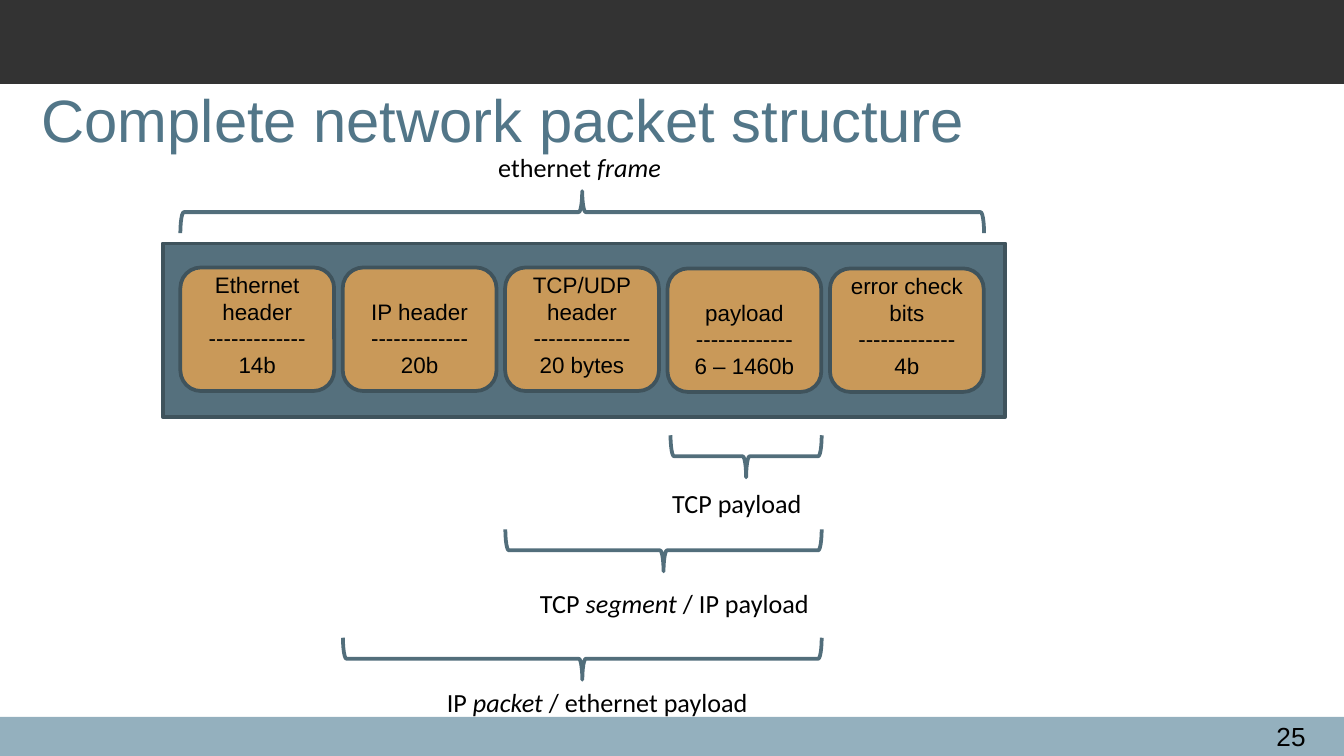
import pptx
import pptx.dml.color
import pptx.enum.shapes
import pptx.enum.text
import pptx.util

Pt = pptx.util.Pt
RGBColor = pptx.dml.color.RGBColor
MSO_SHAPE = pptx.enum.shapes.MSO_SHAPE
PP_ALIGN = pptx.enum.text.PP_ALIGN
MSO_ANCHOR = pptx.enum.text.MSO_ANCHOR

CHARCOAL = RGBColor(0x33, 0x33, 0x33)
PALE_BLUE = RGBColor(0x94, 0xB0, 0xBE)
TITLE_BLUE = RGBColor(0x52, 0x76, 0x88)
FRAME_BLUE = RGBColor(0x55, 0x70, 0x7D)
OUTLINE = RGBColor(0x3F, 0x53, 0x5C)
BRACE_BLUE = RGBColor(0x52, 0x6E, 0x7B)
TAN = RGBColor(0xC9, 0x99, 0x59)
BLACK = RGBColor(0, 0, 0)

presentation = pptx.Presentation()
presentation.slide_width = Pt(720)
presentation.slide_height = Pt(405)
slide = presentation.slides.add_slide(presentation.slide_layouts[5])


def add_block(kind, left, top, width, height, fill=None, line=None):
    shape = slide.shapes.add_shape(kind, Pt(left), Pt(top), Pt(width), Pt(height))
    shape.shadow.inherit = False
    if fill is None:
        shape.fill.background()
    else:
        shape.fill.solid()
        shape.fill.fore_color.rgb = fill
    if line is None:
        shape.line.fill.background()
    else:
        shape.line.color.rgb = line
        shape.line.width = Pt(2)
    return shape


def add_run(paragraph, text, size, font="Arial", color=BLACK, italic=False):
    run = paragraph.add_run()
    run.text = text
    run.font.name = font
    run.font.size = Pt(size)
    run.font.color.rgb = color
    run.font.italic = italic


# Top and bottom bars
add_block(MSO_SHAPE.RECTANGLE, 0, 0, 720, 45, CHARCOAL)
add_block(MSO_SHAPE.RECTANGLE, 0, 384, 720, 21, PALE_BLUE)

# Title
title = slide.shapes.title
title.left, title.top, title.width, title.height = Pt(15), Pt(45.3), Pt(690), Pt(36)
title.text_frame.auto_size = pptx.enum.text.MSO_AUTO_SIZE.NONE
title.text_frame.vertical_anchor = MSO_ANCHOR.MIDDLE
title_paragraph = title.text_frame.paragraphs[0]
title_paragraph.alignment = PP_ALIGN.LEFT
add_run(title_paragraph, "Complete network packet structure", 32, color=TITLE_BLUE)

# Slide number
number_box = slide.shapes.add_textbox(Pt(641.5), Pt(382.5), Pt(65), Pt(11.5))
number_box.text_frame.word_wrap = True
number_paragraph = number_box.text_frame.paragraphs[0]
number_paragraph.alignment = PP_ALIGN.RIGHT
add_run(number_paragraph, "25", 14)

# Ethernet frame with its five fields
add_block(MSO_SHAPE.RECTANGLE, 87.2, 130.4, 451.4, 93, FRAME_BLUE, OUTLINE)
DIVIDER = "-------------"
fields = [
    (143.3, ["Ethernet header", DIVIDER, "14b"]),
    (143.3, ["IP header", DIVIDER, "20b"]),
    (143.3, ["TCP/UDP", "header", DIVIDER, "20 bytes"]),
    (143.8, ["payload", DIVIDER, "6 – 1460b"]),
    (143.8, ["error check bits", DIVIDER, "4b"]),
]
for index, (top, lines) in enumerate(fields):
    field = add_block(MSO_SHAPE.ROUNDED_RECTANGLE, 96.6 + 87 * index, top,
                      82.4, 66.2, TAN, OUTLINE)
    text_frame = field.text_frame
    text_frame.word_wrap = True
    text_frame.vertical_anchor = MSO_ANCHOR.BOTTOM
    for line_index, line in enumerate(lines):
        paragraph = text_frame.paragraphs[0] if line_index == 0 else text_frame.add_paragraph()
        paragraph.alignment = PP_ALIGN.CENTER
        add_run(paragraph, line, 12)

# Braces: left end, right end, top, rotation
BRACE_DEPTH = 22.5
braces = [
    (359.2, 440.2, 233.2, 90),
    (270.7, 440.2, 283.6, 90),
    (183.7, 440.2, 341.7, 90),
    (96.6, 527.2, 102.4, 270),
]
for left, right, top, rotation in braces:
    length = right - left
    center_x = (left + right) / 2
    center_y = top + BRACE_DEPTH / 2
    brace = add_block(MSO_SHAPE.RIGHT_BRACE, center_x - BRACE_DEPTH / 2,
                      center_y - length / 2, BRACE_DEPTH, length, line=BRACE_BLUE)
    brace.rotation = rotation

# Brace labels: left, top, width, runs of text and italic
labels = [
    (353, 257.8, 95, [("TCP payload", False)]),
    (282.2, 311, 163, [("TCP ", False), ("segment", True), (" / IP payload", False)]),
    (232.3, 364.3, 181, [("IP ", False), ("packet", True), (" / ethernet payload", False)]),
    (259.8, 77.4, 106.5, [("ethernet ", False), ("frame", True)]),
]
for left, top, width, runs in labels:
    label = slide.shapes.add_textbox(Pt(left), Pt(top), Pt(width), Pt(24.2))
    label.text_frame.word_wrap = True
    label.text_frame.auto_size = pptx.enum.text.MSO_AUTO_SIZE.SHAPE_TO_FIT_TEXT
    for text, italic in runs:
        add_run(label.text_frame.paragraphs[0], text, 14, "Calibri", italic=italic)

presentation.save("out.pptx")
